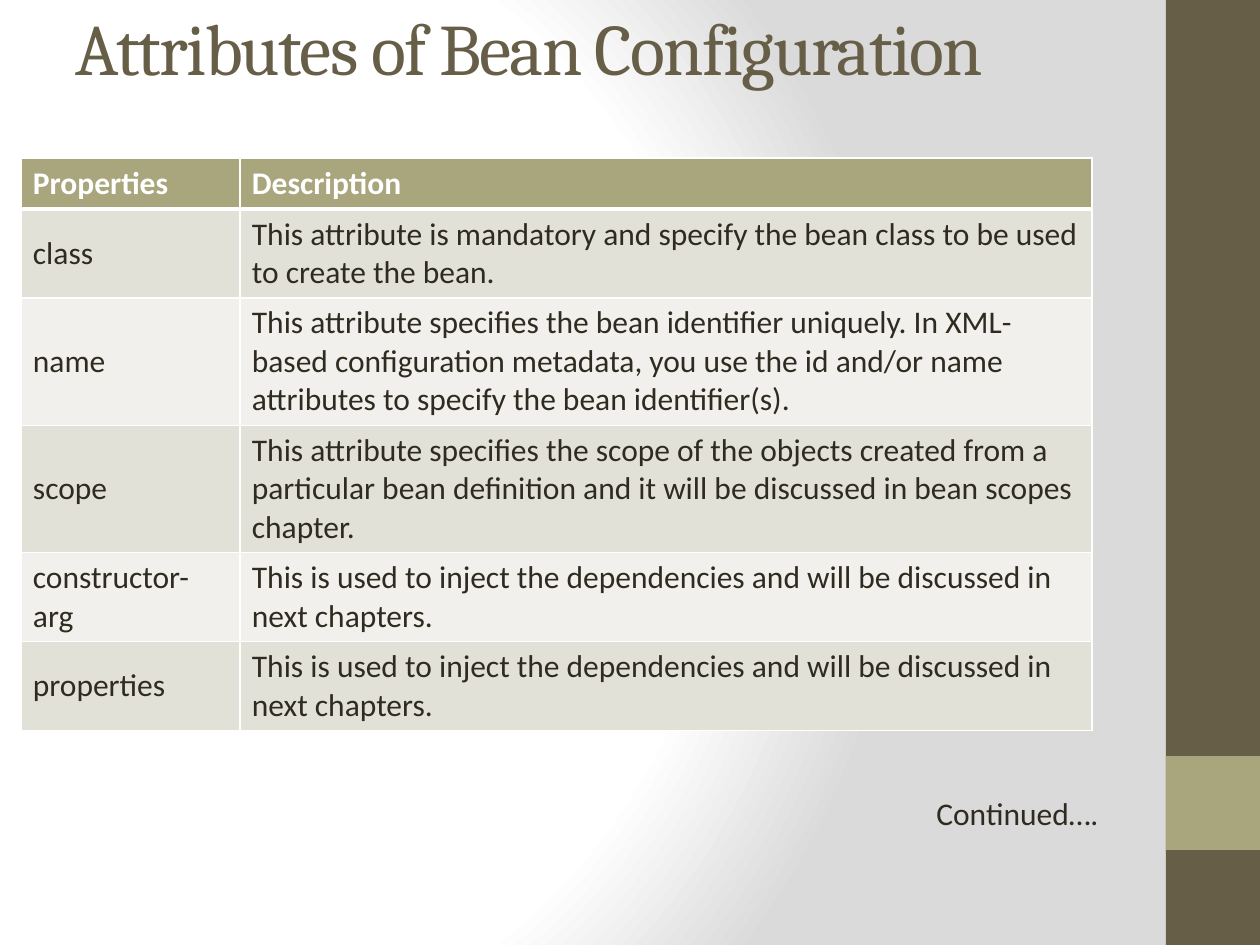
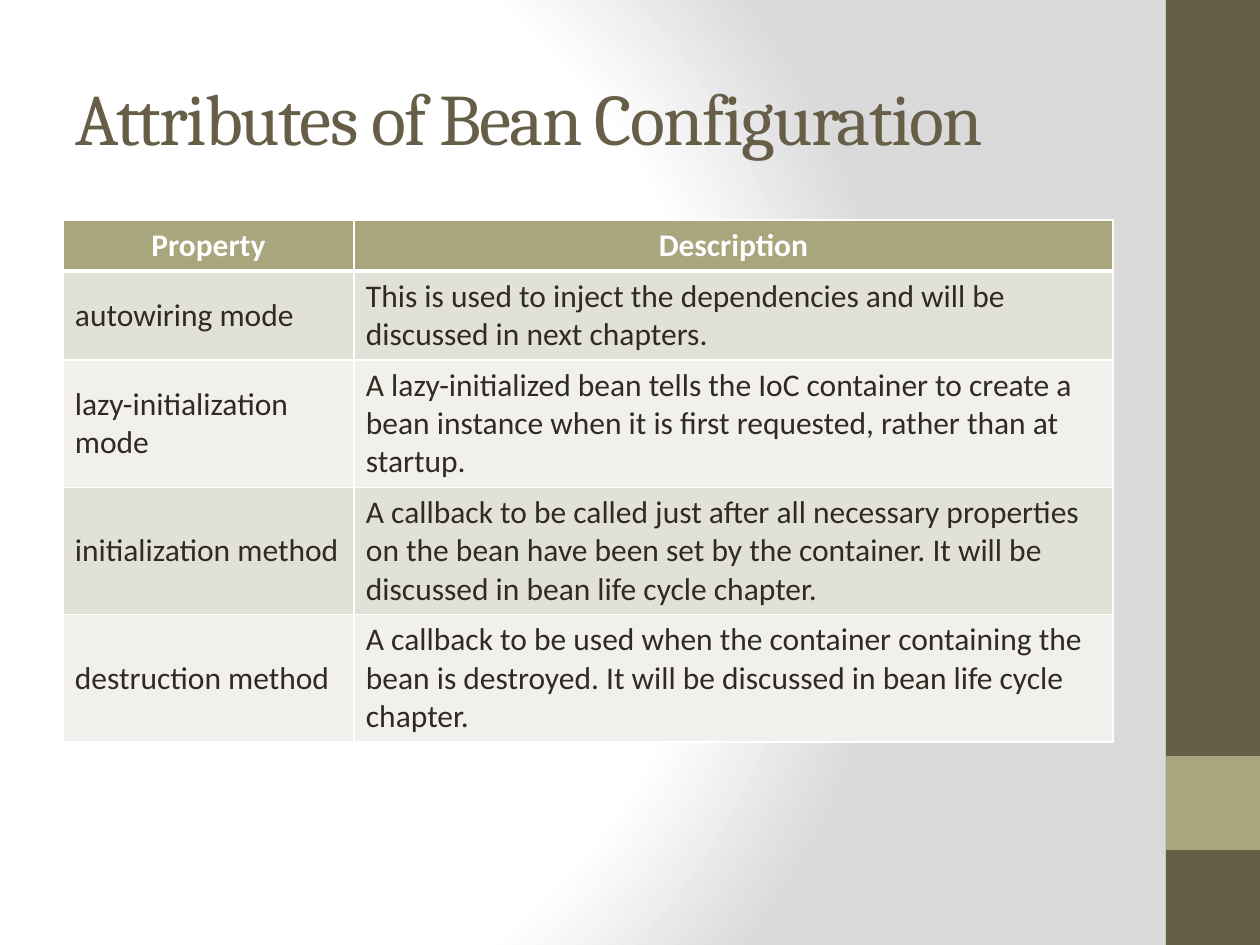
from dataclasses import dataclass

from lxml.etree import SubElement
from pptx import Presentation
from pptx.dml.color import RGBColor
from pptx.enum.shapes import MSO_SHAPE
from pptx.enum.text import MSO_ANCHOR, MSO_AUTO_SIZE, PP_ALIGN
from pptx.oxml import parse_xml
from pptx.oxml.ns import nsdecls, qn
from pptx.util import Emu, Pt

PX_PER_INCH = 126
SLIDE_W, SLIDE_H = 1260, 945


@dataclass(frozen=True)
class Theme:
    dark: str = "675E47"
    accent: str = "A9A57C"
    ink: str = "2F2B20"
    white: str = "FFFFFF"
    shade: str = "DADADA"
    row_fills: tuple = ("E2E1D7", "F1F0EC")
    heading_font: str = "Cambria"
    body_font: str = "Calibri"
    title_size: float = 41.4
    body_size: float = 18


THEME = Theme()
TITLE = "Attributes of Bean Configuration"
TITLE_SPACING = -100  # hundredths of a point
CELL_INSET_X, CELL_INSET_Y = 12, 6
LINE_H = 38
RULE_PT, HEADER_RULE_PT = 1, 3

# Each row: property, description, number of text lines
BASIC_ROWS = [
    ("Properties", "Description", 1),
    ("class", "This attribute is mandatory and specify the bean class to be used "
              "to create the bean.", 2),
    ("name", "This attribute specifies the bean identifier uniquely. In XML-based "
             "configuration metadata, you use the id and/or name attributes to "
             "specify the bean identifier(s).", 3),
    ("scope", "This attribute specifies the scope of the objects created from a "
              "particular bean definition and it will be discussed in bean scopes "
              "chapter.", 3),
    ("constructor-arg", "This is used to inject the dependencies and will be "
                        "discussed in next chapters.", 2),
    ("properties", "This is used to inject the dependencies and will be "
                   "discussed in next chapters.", 2),
]
LIFECYCLE_ROWS = [
    ("Property", "Description", 1),
    ("autowiring mode", "This is used to inject the dependencies and will be "
                        "discussed in next chapters.", 2),
    ("lazy-initialization mode", "A lazy-initialized bean tells the IoC container to "
                                 "create a bean instance when it is first requested, "
                                 "rather than at startup.", 3),
    ("initialization method", "A callback to be called just after all necessary "
                              "properties on the bean have been set by the container. "
                              "It will be discussed in bean life cycle chapter.", 3),
    ("destruction method", "A callback to be used when the container containing the "
                           "bean is destroyed. It will be discussed in bean life "
                           "cycle chapter.", 3),
]


def px(length):
    return Emu(round(length * 914400 / PX_PER_INCH))


def set_font(paragraph, name, size, color, bold=False):
    font = paragraph.font
    font.name, font.size, font.bold = name, Pt(size), bold
    font.color.rgb = RGBColor.from_string(color)


# Shared background and side band
def paint_background(master):
    master.background.fill.solid()
    properties = master.element.find(".//" + qn("p:bgPr"))
    properties.remove(properties[0])
    stops = "".join(
        f'<a:gs pos="{position}"><a:srgbClr val="{color}"/></a:gs>'
        for position, color in ((0, THEME.white), (75000, THEME.white),
                                (100000, THEME.shade)))
    properties.insert(0, parse_xml(
        f'<a:gradFill {nsdecls("a")} rotWithShape="1"><a:gsLst>{stops}</a:gsLst>'
        '<a:path path="circle"><a:fillToRect l="20000" t="50000" r="100000" '
        'b="50000"/></a:path></a:gradFill>'))


def add_side_band(master, host_slide, left, top, width, height):
    """Draw the band on a slide, then move it to the master for every slide."""
    accent_top = top + height * 4 // 5
    for band_top, band_height, color in ((top, height, THEME.dark),
                                         (accent_top, width, THEME.accent)):
        band = host_slide.shapes.add_shape(
            MSO_SHAPE.RECTANGLE, px(left), px(band_top), px(width), px(band_height))
        band.shadow.inherit = False
        band.fill.solid()
        band.fill.fore_color.rgb = RGBColor.from_string(color)
        band.line.fill.background()
        master.shapes.element.append(band.element)


# Slide parts
def place_title(slide, left, top, width, height):
    title = slide.shapes.title
    title.left, title.top, title.width, title.height = map(
        px, (left, top, width, height))
    frame = title.text_frame
    frame.text = TITLE
    frame.auto_size = MSO_AUTO_SIZE.NONE
    frame.vertical_anchor = MSO_ANCHOR.MIDDLE
    heading = frame.paragraphs[0]
    heading.alignment = PP_ALIGN.LEFT
    set_font(heading, THEME.heading_font, THEME.title_size, THEME.dark)
    heading.runs[0].font._element.set("spc", str(TITLE_SPACING))


def set_borders(cell, top_pt, bottom_pt):
    properties = cell._tc.get_or_add_tcPr()
    widths = {"lnL": RULE_PT, "lnR": RULE_PT, "lnT": top_pt, "lnB": bottom_pt}
    for position, (side, width) in enumerate(widths.items()):
        line = SubElement(properties, qn(f"a:{side}"), w=str(Pt(width)))
        fill = SubElement(line, qn("a:solidFill"))
        SubElement(fill, qn("a:srgbClr"), val=THEME.white)
        properties.insert(position, line)


def format_cell(cell, row_number, header_align):
    is_header = row_number == 0
    cell.margin_left = cell.margin_right = px(CELL_INSET_X)
    cell.margin_top = cell.margin_bottom = px(CELL_INSET_Y)
    cell.vertical_anchor = MSO_ANCHOR.MIDDLE
    fill = THEME.accent if is_header else THEME.row_fills[(row_number - 1) % 2]
    cell.fill.solid()
    cell.fill.fore_color.rgb = RGBColor.from_string(fill)
    set_borders(cell, HEADER_RULE_PT if row_number == 1 else RULE_PT,
                HEADER_RULE_PT if is_header else RULE_PT)
    entry = cell.text_frame.paragraphs[0]
    entry.alignment = header_align if is_header else PP_ALIGN.LEFT
    set_font(entry, THEME.body_font, THEME.body_size,
             THEME.white if is_header else THEME.ink, bold=is_header)


def add_attribute_table(slide, left, top, column_widths, rows, header_align):
    heights = [LINE_H * lines + 2 * CELL_INSET_Y + 1 for *_, lines in rows]
    attributes = slide.shapes.add_table(
        len(rows), len(column_widths), px(left), px(top),
        px(sum(column_widths)), px(sum(heights))).table
    for column, width in zip(attributes.columns, column_widths):
        column.width = px(width)
    for row_number, (*entries, _) in enumerate(rows):
        attributes.rows[row_number].height = px(heights[row_number])
        for column_number, entry in enumerate(entries):
            cell = attributes.cell(row_number, column_number)
            cell.text = entry
            format_cell(cell, row_number, header_align)


def add_continued_note(slide, left, top, width, height):
    frame = slide.shapes.add_textbox(*map(px, (left, top, width, height))).text_frame
    frame.word_wrap = True
    frame.text = "Continued…."
    set_font(frame.paragraphs[0], THEME.body_font, THEME.body_size, THEME.ink)


# Slides
def build_basic_slide(slide):
    place_title(slide, 63, 0, 1134, 94)
    add_attribute_table(slide, 21, 158, (219, 852), BASIC_ROWS, PP_ALIGN.LEFT)
    add_continued_note(slide, 924, 788, 262, 50)


def build_lifecycle_slide(slide):
    place_title(slide, 63, 38, 1050, 157)
    add_attribute_table(slide, 63, 220, (291, 759), LIFECYCLE_ROWS, PP_ALIGN.CENTER)


def main():
    deck = Presentation()
    deck.slide_width, deck.slide_height = px(SLIDE_W), px(SLIDE_H)
    title_only = deck.slide_layouts.get_by_name("Title Only")
    basic, lifecycle = (deck.slides.add_slide(title_only) for _ in range(2))
    paint_background(deck.slide_master)
    add_side_band(deck.slide_master, basic, 1166, 0, SLIDE_W - 1166, SLIDE_H)
    build_basic_slide(basic)
    build_lifecycle_slide(lifecycle)
    deck.save("out.pptx")


if __name__ == "__main__":
    main()
